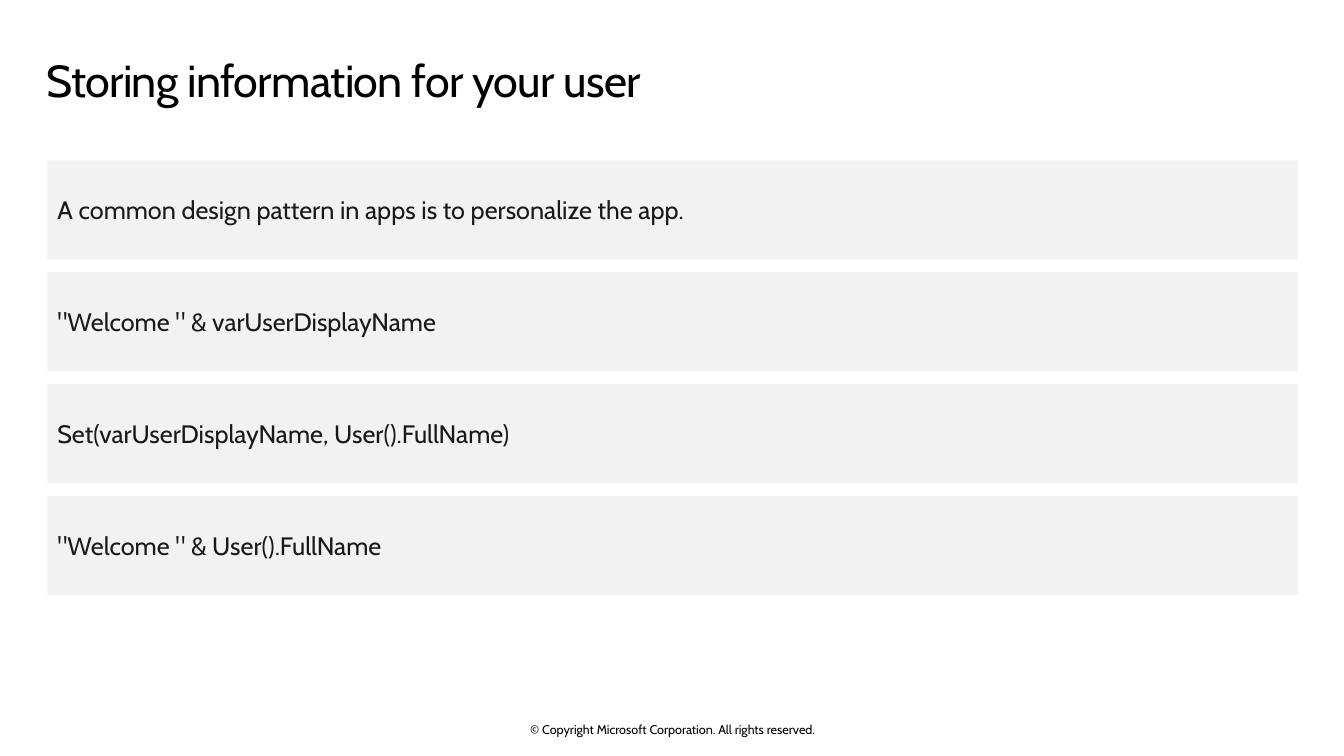
import lxml.etree
import pptx
import pptx.dml.color
import pptx.enum.shapes
import pptx.enum.text
import pptx.oxml.ns
import pptx.util

Inches = pptx.util.Inches
Pt = pptx.util.Pt
Align = pptx.enum.text.PP_ALIGN
Anchor = pptx.enum.text.MSO_ANCHOR

FONT = "Cabin"
COLORS = {"black": "000000", "ink": "191919", "panel": "F2F2F2", "page": "FFFFFF"}
LINES = [
    "A common design pattern in apps is to personalize the app.",
    '"Welcome " & varUserDisplayName',
    "Set(varUserDisplayName, User().FullName)",
    '"Welcome " & User().FullName',
]


def paint(fill, name):
    fill.solid()
    fill.fore_color.rgb = pptx.dml.color.RGBColor.from_string(COLORS[name])


def place(shape, box):
    shape.left, shape.top, shape.width, shape.height = (Inches(n) for n in box)


def write(shape, text, size, color, align, anchor, insets):
    frame = shape.text_frame
    frame.word_wrap = True
    frame.auto_size = pptx.enum.text.MSO_AUTO_SIZE.NONE
    frame.vertical_anchor = anchor
    (frame.margin_left, frame.margin_top,
     frame.margin_right, frame.margin_bottom) = (Inches(n) for n in insets)
    par = frame.paragraphs[0]
    # Plain paragraph: no bullet, no hanging indent
    props = par._p.get_or_add_pPr()
    props.set("marL", "0")
    props.set("indent", "0")
    lxml.etree.SubElement(props, pptx.oxml.ns.qn("a:buNone"))
    par.alignment = align
    par.space_before = Pt(0)
    run = par.add_run()
    run.text = text
    run.font.size = Pt(size)
    run.font.name = FONT
    paint(run.font.fill, color)
    return par, run


def add_title(slide, box):
    title = slide.shapes.title
    place(title, box)
    par, run = write(title, "Storing information for your user", 32, "black",
                     Align.LEFT, Anchor.TOP, (0, 0.1, 0.16, 0.1))
    par.line_spacing = 0.9
    run._r.get_or_add_rPr().set("spc", "-50")


def add_panels(slide, box, gap):
    left, top, width, height = box
    tall = (height - gap * (len(LINES) - 1)) / len(LINES)
    for row, line in enumerate(LINES):
        spot = (left, top + row * (tall + gap), width, tall)
        # The first panel is the body placeholder
        if row == 0:
            panel = slide.placeholders[1]
            place(panel, spot)
        else:
            panel = slide.shapes.add_shape(
                pptx.enum.shapes.MSO_SHAPE.RECTANGLE, *(Inches(n) for n in spot))
            panel.shadow.inherit = False
        paint(panel.fill, "panel")
        panel.line.fill.background()
        write(panel, line, 18, "ink", Align.LEFT, Anchor.MIDDLE, (0.1,) * 4)


def add_footer(slide, box):
    note = slide.shapes.add_textbox(*(Inches(n) for n in box))
    write(note, "© Copyright Microsoft Corporation. All rights reserved.", 9,
          "black", Align.CENTER, Anchor.MIDDLE, (0,) * 4)


def main():
    deck = pptx.Presentation()
    deck.slide_width = Inches(13.33)
    deck.slide_height = Inches(7.5)
    slide = deck.slides.add_slide(deck.slide_layouts[1])
    paint(slide.background.fill, "page")
    add_title(slide, (0.46, 0.48, 12.4, 0.74))
    add_panels(slide, (0.47, 1.59, 12.4, 4.31), 0.13)
    add_footer(slide, (4.42, 7.16, 4.5, 0.15))
    deck.save("out.pptx")


if __name__ == "__main__":
    main()
